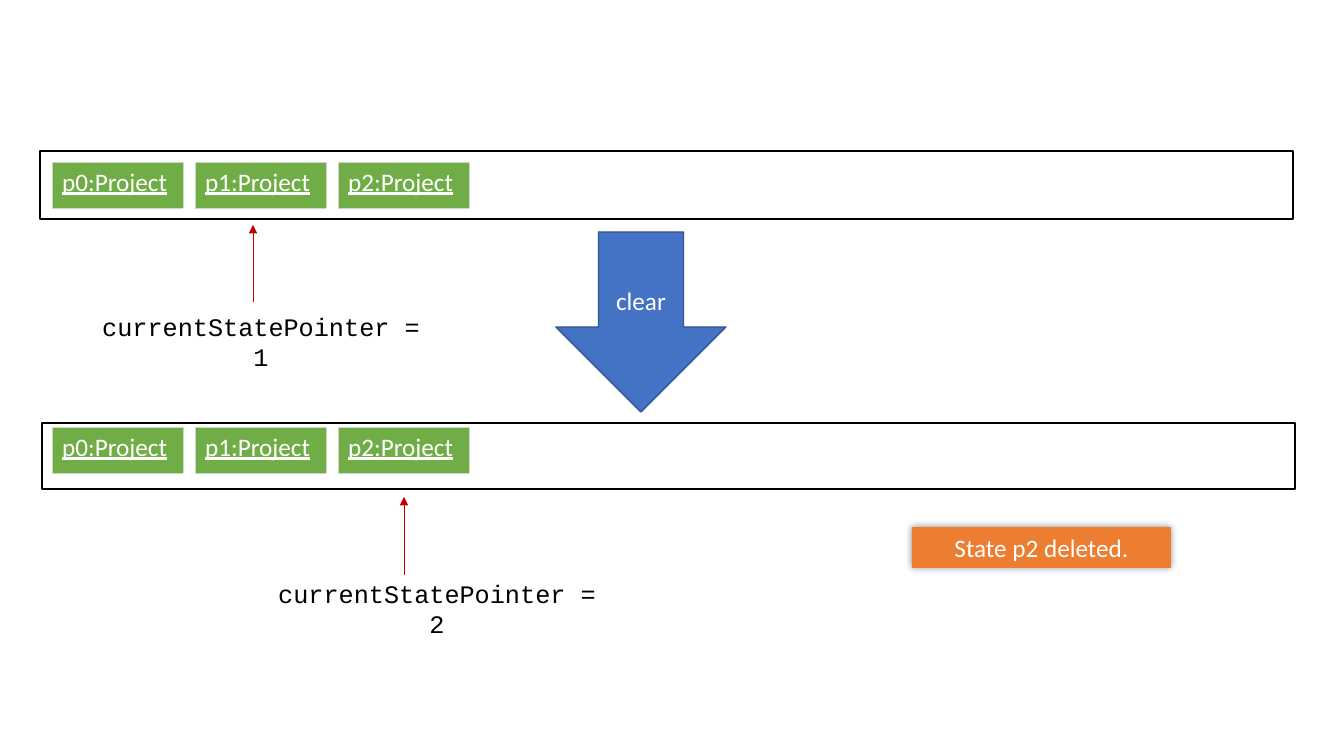
from dataclasses import dataclass

from lxml.etree import SubElement
from pptx import Presentation
from pptx.dml.color import RGBColor
from pptx.enum.shapes import MSO_CONNECTOR, MSO_SHAPE
from pptx.enum.text import MSO_ANCHOR, MSO_AUTO_SIZE, PP_ALIGN
from pptx.oxml.ns import qn
from pptx.util import Pt

EMU_PER_PIXEL = 12192000 / 1344


@dataclass(frozen=True)
class Theme:
    white: str = "FFFFFF"
    black: str = "000000"
    blue: str = "4472C4"
    blue_edge: str = "325491"
    orange: str = "ED7D31"
    green: str = "70AD47"
    green_edge: str = "C9DBC1"
    red: str = "C00000"
    body_font: str = "Calibri"
    code_font: str = "Courier New"
    text_size: int = 18
    edge_width: float = 1
    thin_width: float = 0.5


THEME = Theme()


def px(value):
    return round(value * EMU_PER_PIXEL)


def color(name):
    return RGBColor.from_string(name)


def write(frame, text, ink, font_name=THEME.body_font, align=PP_ALIGN.CENTER, underline=None):
    frame.text = text
    para = frame.paragraphs[0]
    para.alignment = align
    font = para.runs[0].font
    font.name = font_name
    font.size = Pt(THEME.text_size)
    font.color.rgb = color(ink)
    font.underline = underline


def add_block(page, kind, bounds, fill=None, edge=None):
    block = page.shapes.add_shape(kind, *map(px, bounds))
    block.shadow.inherit = False
    if fill:
        block.fill.solid()
        block.fill.fore_color.rgb = color(fill)
    else:
        block.fill.background()
    if edge:
        block.line.color.rgb = color(edge)
        block.line.width = Pt(THEME.edge_width)
    else:
        block.line.fill.background()
    return block


def add_glow(block):
    effects = block._element.spPr.find(qn("a:effectLst"))
    shadow = SubElement(effects, qn("a:outerShdw"), blurRad=str(Pt(5)), dist="0", dir="0",
                        algn="ctr", rotWithShape="0")
    tint = SubElement(shadow, qn("a:srgbClr"), val=THEME.black)
    SubElement(tint, qn("a:alpha"), val="40000")


def add_clear_arrow(page):
    arrow = add_block(page, MSO_SHAPE.DOWN_ARROW, (556, 232, 170, 180), THEME.blue, THEME.blue_edge)
    write(arrow.text_frame, "clear", THEME.white)
    arrow.text_frame.vertical_anchor = MSO_ANCHOR.MIDDLE


def add_notice(page):
    notice = add_block(page, MSO_SHAPE.RECTANGLE, (912, 527, 259, 41), THEME.orange)
    add_glow(notice)
    write(notice.text_frame, "State p2 deleted.", THEME.white)
    notice.text_frame.vertical_anchor = MSO_ANCHOR.TOP
    notice.text_frame.auto_size = MSO_AUTO_SIZE.SHAPE_TO_FIT_TEXT


def add_pointer_label(page, left, top, index):
    box = page.shapes.add_textbox(px(left), px(top), px(354), px(40))
    frame = box.text_frame
    frame.word_wrap = True
    frame.auto_size = MSO_AUTO_SIZE.SHAPE_TO_FIT_TEXT
    write(frame, f"currentStatePointer = {index}", THEME.black, THEME.code_font)


def add_pointer_arrow(page, x, bottom, top):
    arrow = page.shapes.add_connector(MSO_CONNECTOR.STRAIGHT, px(x), px(bottom), px(x), px(top))
    arrow.line.color.rgb = color(THEME.red)
    arrow.line.width = Pt(THEME.thin_width)
    SubElement(arrow.line._get_or_add_ln(), qn("a:tailEnd"), type="triangle")
    SubElement(arrow._element.spPr, qn("a:effectLst"))


def add_state(page, left, top, name):
    table = page.shapes.add_table(1, 1, px(left), px(top), px(131), px(46)).table
    cell = table.cell(0, 0)
    write(cell.text_frame, name, THEME.white, align=PP_ALIGN.LEFT, underline=True)
    properties = cell._tc.get_or_add_tcPr()
    for side in ("lnL", "lnR", "lnT", "lnB"):
        edge = SubElement(properties, qn(f"a:{side}"), w=str(Pt(THEME.thin_width)))
        paint = SubElement(edge, qn("a:solidFill"))
        SubElement(paint, qn("a:srgbClr"), val=THEME.green_edge)
    cell.fill.solid()
    cell.fill.fore_color.rgb = color(THEME.green)


def add_state_row(page, top):
    for index in range(3):
        add_state(page, 52 + 143 * index, top, f"p{index}:Project")


def main():
    deck = Presentation()
    deck.slide_width, deck.slide_height = px(1344), px(756)
    page = deck.slides.add_slide(deck.slide_layouts[6])
    add_clear_arrow(page)
    add_notice(page)
    add_pointer_label(page, 84, 306, 1)
    add_block(page, MSO_SHAPE.RECTANGLE, (40, 151, 1253, 68), edge=THEME.black)
    add_pointer_label(page, 260, 573, 2)
    add_block(page, MSO_SHAPE.RECTANGLE, (42, 423, 1253, 66), edge=THEME.black)
    add_pointer_arrow(page, 253, 302, 225)
    add_pointer_arrow(page, 404, 575, 497)
    add_state_row(page, 162)
    add_state_row(page, 427)
    deck.save("out.pptx")


main()
